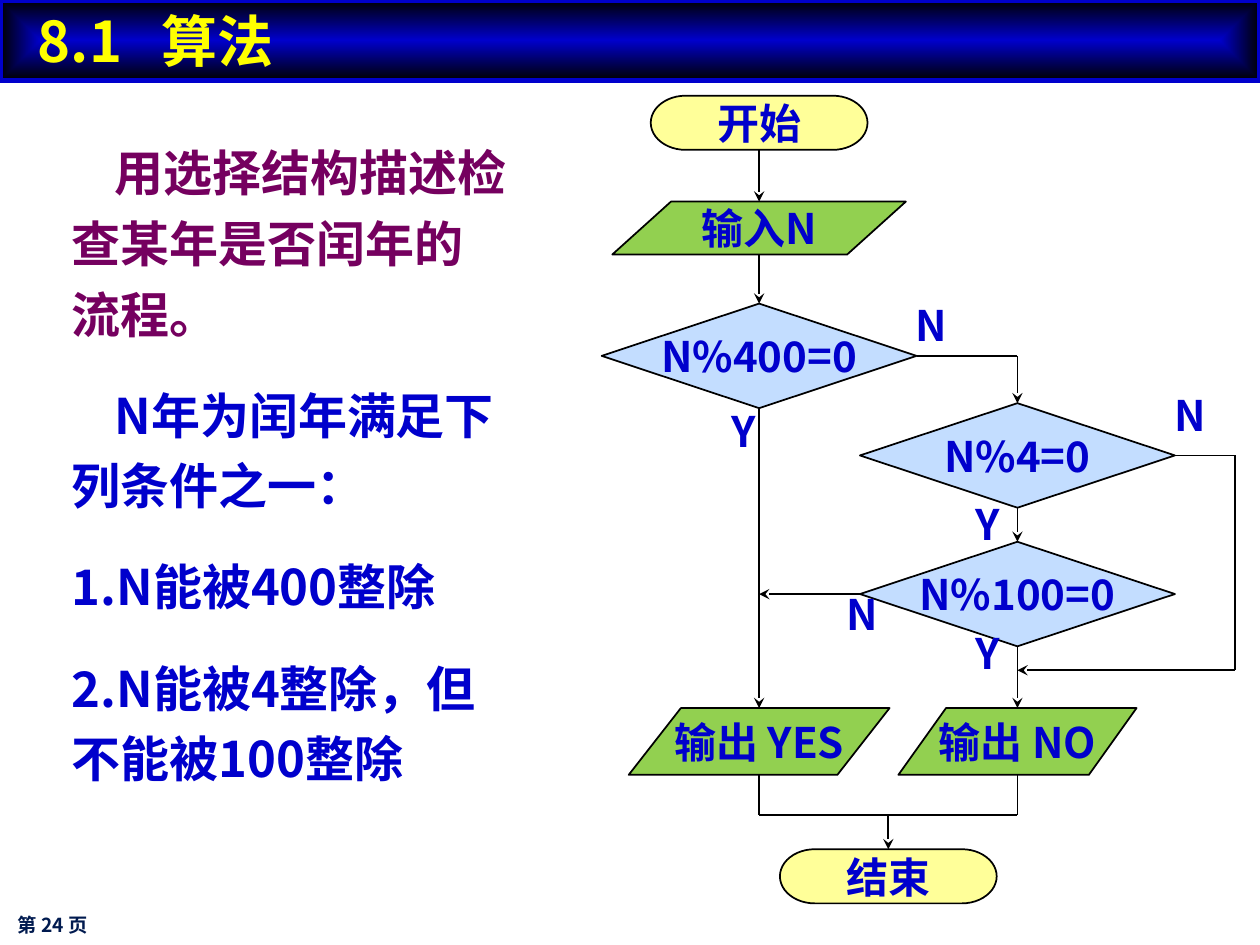
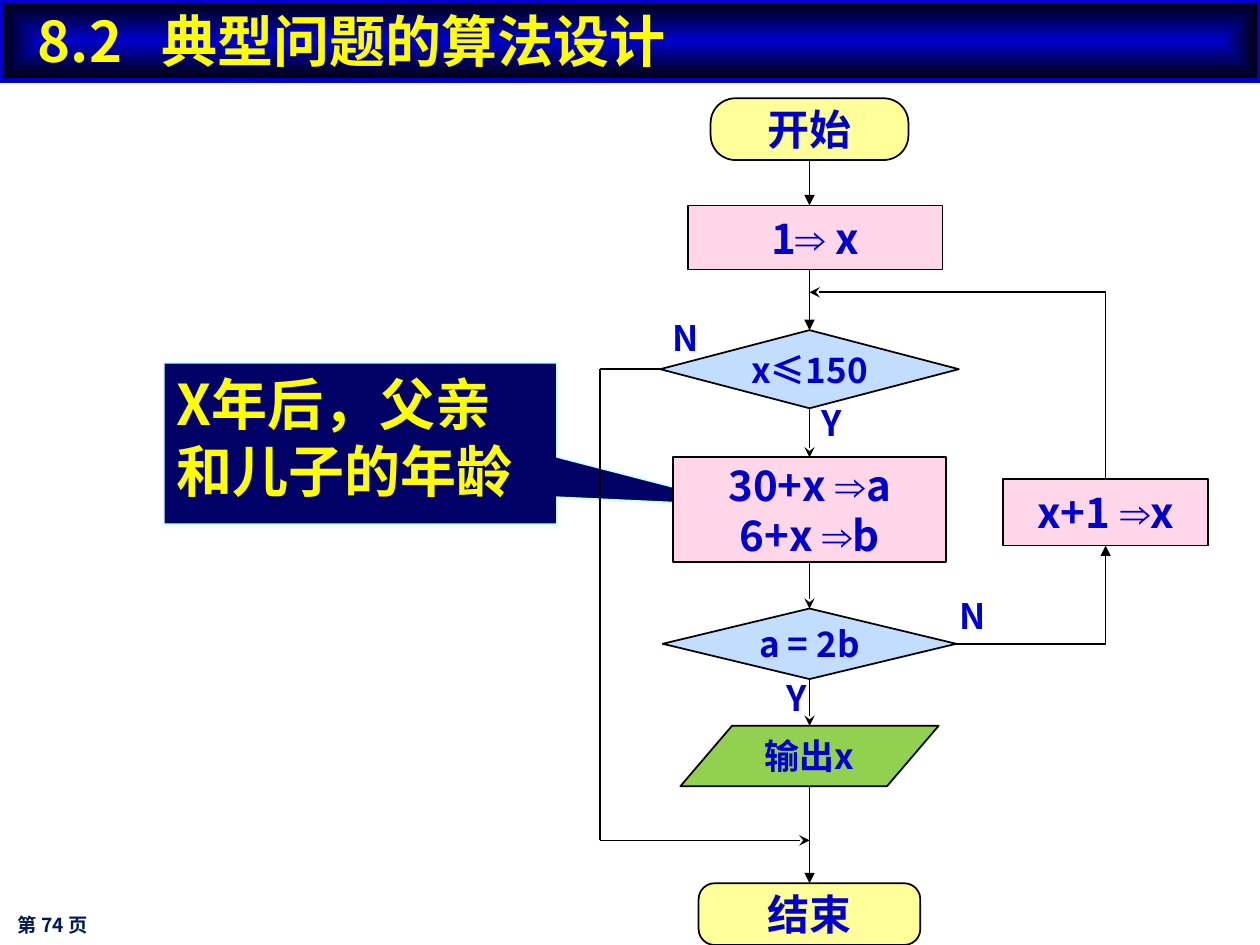
from itertools import pairwise

from lxml import etree
from pptx import Presentation
from pptx.dml.color import RGBColor
from pptx.enum.shapes import MSO_CONNECTOR, MSO_SHAPE
from pptx.enum.text import MSO_ANCHOR, MSO_AUTO_SIZE, PP_ALIGN
from pptx.oxml import parse_xml
from pptx.oxml.ns import nsdecls, qn
from pptx.util import Inches, Pt

TERMINATOR = MSO_SHAPE.FLOWCHART_TERMINATOR
ROUNDED = MSO_SHAPE.ROUNDED_RECTANGLE
DATA = MSO_SHAPE.FLOWCHART_DATA
DECISION = MSO_SHAPE.FLOWCHART_DECISION
PROCESS = MSO_SHAPE.FLOWCHART_PROCESS
CALLOUT = MSO_SHAPE.RECTANGULAR_CALLOUT
STRAIGHT = MSO_CONNECTOR.STRAIGHT
LEFT_ALIGN, CENTER = PP_ALIGN.LEFT, PP_ALIGN.CENTER
TOP_ANCHOR, MIDDLE = MSO_ANCHOR.TOP, MSO_ANCHOR.MIDDLE
NO_FIT = MSO_AUTO_SIZE.NONE

TOP, LEFT, BOTTOM, RIGHT = range(4)
SIDES = {TOP: (0.5, 0), LEFT: (0, 0.5), BOTTOM: (0.5, 1), RIGHT: (1, 0.5)}
TITLE_LAYOUT = 5
BODY_LAYOUT = 1

SANS, HEAD, SYMBOL = "Noto Sans CJK SC", "Noto Sans CJK JP", "Arial"
BLUE, NAVY, YELLOW, PLUM = "0000CC", "000066", "FFFF00", "75005F"
BLACK, INK, ICE = "000000", "001A4F", "CCFFFF"
FILLS = {TERMINATOR: "FFFF99", ROUNDED: "FFFF99", DATA: "92D050",
         DECISION: "C3DDFF", PROCESS: "FFD7E8", CALLOUT: NAVY}


def grid(*cells):
    """Turn grid cells (100 columns by 75 rows) into lengths."""
    return [Inches(cell / 10) for cell in cells]


def color(hex_text):
    """Turn a hex string into a colour."""
    return RGBColor.from_string(hex_text)


def add_run(p, text, *, size, hue, font):
    """Add one bold run to a paragraph."""
    r = p.add_run()
    r.text = text
    r.font.size, r.font.bold, r.font.name = Pt(size), True, font
    r.font.color.rgb = color(hue)
    etree.SubElement(r._r.get_or_add_rPr(), qn("a:ea")).set("typeface", font)


def write(p, text, *, size=24, hue=BLUE, font=SANS, align=LEFT_ALIGN,
          before=0, spacing=None, indent=None, tab=None):
    """Fill a paragraph, setting each ⇒ in the symbol font."""
    pPr = p._p.get_or_add_pPr()
    if indent is not None:
        pPr.set("marL", "0")
        pPr.set("indent", str(Inches(indent)))
        etree.SubElement(pPr, qn("a:buNone"))
    if tab:
        tabs = etree.SubElement(pPr, qn("a:tabLst"))
        etree.SubElement(tabs, qn("a:tab"), pos=str(Inches(tab)), algn="l")
    p.alignment, p.space_before = align, Pt(before)
    if spacing:
        p.line_spacing = spacing
    head, arrow, rest = text.partition("⇒")
    for part, face in ((head, font), (arrow, SYMBOL), (rest, font)):
        if part:
            add_run(p, part, size=size, hue=hue, font=face)


class Deck:
    """Holds the presentation, the shared style and the current slide."""

    def __init__(self):
        """Start an empty deck of 100 by 75 grid cells."""
        self.prs = Presentation()
        self.prs.slide_width, self.prs.slide_height = grid(100, 75)
        self.s = None

    def new_slide(self, layout, number, title, page):
        """Add a slide with its title band and page mark."""
        self.s = self.prs.slides.add_slide(self.prs.slide_layouts[layout])
        sp = self.s.shapes.title
        sp.left, sp.top, sp.width, sp.height = grid(0, 0, 100, 6.4)
        sp._element.spPr.append(parse_xml(
            f'<a:gradFill {nsdecls("a")} rotWithShape="1"><a:gsLst>'
            f'<a:gs pos="0"><a:srgbClr val="{BLUE}"/></a:gs>'
            f'<a:gs pos="100000"><a:srgbClr val="{BLACK}"/></a:gs></a:gsLst>'
            '<a:path path="rect"><a:fillToRect l="50000" t="50000" '
            'r="50000" b="50000"/></a:path></a:gradFill>'))
        sp.line.color.rgb, sp.line.width = color(BLUE), Pt(3)
        tf = sp.text_frame
        tf.auto_size, tf.vertical_anchor = NO_FIT, MIDDLE
        tf.margin_left, tf.margin_top, tf.margin_bottom = grid(3, 0, 0)
        write(tf.paragraphs[0], f"{number}\t{title}", size=32, hue=YELLOW,
              font=HEAD, tab=0.98)
        self.label(f"第 {page} 页", 0.4, 71.5, 26.7, 3.8,
                   anchor=MIDDLE, size=11, hue=INK)

    def body(self, items, *box):
        """Place the body list; items are (text, format) pairs."""
        sp = self.s.placeholders[1]
        sp.left, sp.top, sp.width, sp.height = grid(*box)
        tf = sp.text_frame
        tf.auto_size, tf.vertical_anchor = NO_FIT, TOP_ANCHOR
        for i, (text, style) in enumerate(items):
            p = tf.add_paragraph() if i else tf.paragraphs[0]
            write(p, text, size=28, spacing=1.2, before=17.5 if i else 0, **style)

    def label(self, text, x, y, w=6.7, h=5, anchor=TOP_ANCHOR, **style):
        """Place a free text box."""
        tf = self.s.shapes.add_textbox(*grid(x, y, w, h)).text_frame
        tf.word_wrap, tf.vertical_anchor = True, anchor
        write(tf.paragraphs[0], text, **style)

    def shape(self, kind, x, y, w, h, lines, *, edge=BLACK, adjust=(),
              anchor=MIDDLE, wrap=False, **style):
        """Place a filled shape with its text."""
        sp = self.s.shapes.add_shape(kind, *grid(x, y, w, h))
        sp.shadow.inherit = False
        sp.fill.solid()
        sp.fill.fore_color.rgb = color(FILLS[kind])
        sp.line.color.rgb, sp.line.width = color(edge), Pt(1)
        for i, value in enumerate(adjust):
            sp.adjustments[i] = value
        tf = sp.text_frame
        tf.word_wrap, tf.vertical_anchor = wrap, anchor
        for i, text in enumerate(lines):
            write(tf.add_paragraph() if i else tf.paragraphs[0], text, **style)
        return sp

    def node(self, kind, cx, y, w, h, *lines, **style):
        """Place a flowchart node centred on a column."""
        return self.shape(kind, cx - w / 2, y, w, h, lines, align=CENTER, **style)

    def spot(self, end):
        """Find the position of an end: (shape, side) or (column, row)."""
        sp, side = end
        if not hasattr(sp, "width"):
            return grid(*end)
        fx, fy = SIDES[side]
        return [int(sp.left + sp.width * fx), int(sp.top + sp.height * fy)]

    def flow(self, *ends, head="stealth"):
        """Draw straight connectors through the ends, with a final arrowhead."""
        for a, b in pairwise(ends):
            c = self.s.shapes.add_connector(STRAIGHT, *self.spot(a), *self.spot(b))
            for end, join in ((a, c.begin_connect), (b, c.end_connect)):
                if hasattr(end[0], "width") and end[0].auto_shape_type != DATA:
                    join(*end)
            c.line.color.rgb, c.line.width = color(BLACK), Pt(1)
            if head and b is ends[-1]:
                etree.SubElement(c.line._get_or_add_ln(), qn("a:tailEnd"), type=head)
            etree.SubElement(c._element.spPr, qn("a:effectLst"))


def leap_year(d):
    """Build the leap year flowchart slide."""
    d.new_slide(BODY_LAYOUT, "8.1", "算法", 24)
    d.body([("用选择结构描述检查某年是否闰年的流程。", {"hue": PLUM, "indent": 0.34}),
            ("N年为闰年满足下列条件之一：", {"indent": 0.34}),
            ("1.N能被400整除", {"indent": 0}),
            ("2.N能被4整除，但不能被100整除", {"indent": 0})],
           4.7, 9.9, 36.6, 53.1)
    main, side, loop = 60.25, 80.75, 98
    middle = (main + side) / 2
    join_row, merge_row = 64.7, 53.2

    start = d.node(TERMINATOR, main, 7.6, 17.2, 4.3, "开始")
    read_n = d.node(DATA, main, 16, 23.3, 4.2, "输入N")
    by_400, by_4, by_100 = [
        d.node(DECISION, cx, y, 25, 8.3, f"N%{n}=0")
        for cx, y, n in ((main, 24.1, 400), (side, 32, 4), (side, 43, 100))]
    yes = d.node(DATA, main, 56.2, 20.7, 5.3, "输出 YES")
    no = d.node(DATA, side, 56.2, 18.9, 5.3, "输出 NO")
    end = d.node(TERMINATOR, middle, 67.4, 17.2, 4.3, "结束")

    for upper, lower in ((start, read_n), (read_n, by_400), (by_400, yes),
                         (by_4, by_100), (by_100, no)):
        d.flow((upper, BOTTOM), (lower, TOP))
    d.flow((by_400, RIGHT), (side, 28.25), (by_4, TOP))
    d.flow((by_4, RIGHT), (loop, 36.15), (loop, merge_row), (side, merge_row))
    d.flow((by_100, LEFT), (main, 47.15))
    d.flow((yes, BOTTOM), (main, join_row), (side, join_row), (no, BOTTOM), head=None)
    d.flow((middle, join_row), (end, TOP))
    for text, x, y in (("Y", 57.1, 31.7), ("N", 71.7, 23.3), ("Y", 76.4, 39.1),
                       ("N", 92.2, 30.4), ("Y", 76.4, 49.3), ("N", 66.2, 46.2)):
        d.label(text, x, y)


def father_and_son(d):
    """Build the age problem flowchart slide."""
    d.new_slide(TITLE_LAYOUT, "8.2", "典型问题的算法设计", 74)
    trunk, back, leave = 64.25, 87.75, 47.6
    back_row, exit_row = 23.2, 66.7

    d.shape(CALLOUT, 13, 28.8, 31.2, 12.8, ["X年后，父亲和儿子的年龄"],
            edge=ICE, adjust=(0.984, 0.388), anchor=TOP_ANCHOR, wrap=True,
            size=32, hue=YELLOW)
    start = d.node(ROUNDED, trunk, 7.8, 15.7, 4.9, "开始", adjust=[0.4])
    d.node(PROCESS, 64.7, 16.3, 20.2, 5.1, "1⇒ x")
    limit = d.node(DECISION, trunk, 26.2, 23.7, 6.2, "x≤150", size=20)
    ages = d.node(PROCESS, trunk, 36.3, 21.7, 8.3, "30+x ⇒a", "6+x ⇒b")
    double = d.node(DECISION, trunk, 48.3, 23.3, 5.6, "a = 2b", size=20)
    step = d.node(PROCESS, back, 38, 16.3, 5.3, "x+1 ⇒x")
    show_x = d.node(DATA, trunk, 57.6, 20.5, 4.8, "输出x", size=20)
    end = d.node(ROUNDED, trunk, 70.1, 17.6, 4.9, "结束", adjust=[0.26])

    d.flow((start, BOTTOM), (trunk, 16.3), head="triangle")
    d.flow((trunk, 21.4), (limit, TOP), head="triangle")
    for upper, lower in ((limit, ages), (ages, double), (double, show_x)):
        d.flow((upper, BOTTOM), (lower, TOP))
    d.flow((show_x, BOTTOM), (end, TOP), head="triangle")
    d.flow((double, RIGHT), (back, 51.1), (step, BOTTOM), head="triangle")
    d.flow((step, TOP), (back, back_row), (trunk, back_row))
    d.flow((limit, LEFT), (leave, 29.3), (leave, exit_row), (trunk, exit_row))
    for text, x, y in (("Y", 64.2, 31.4), ("N", 52.4, 24.6),
                       ("Y", 61.4, 53.2), ("N", 75.2, 46.7)):
        d.label(text, x, y, h=4.4, size=20)


def main():
    """Build and save the deck."""
    d = Deck()
    leap_year(d)
    father_and_son(d)
    d.prs.save("out.pptx")


if __name__ == "__main__":
    main()
